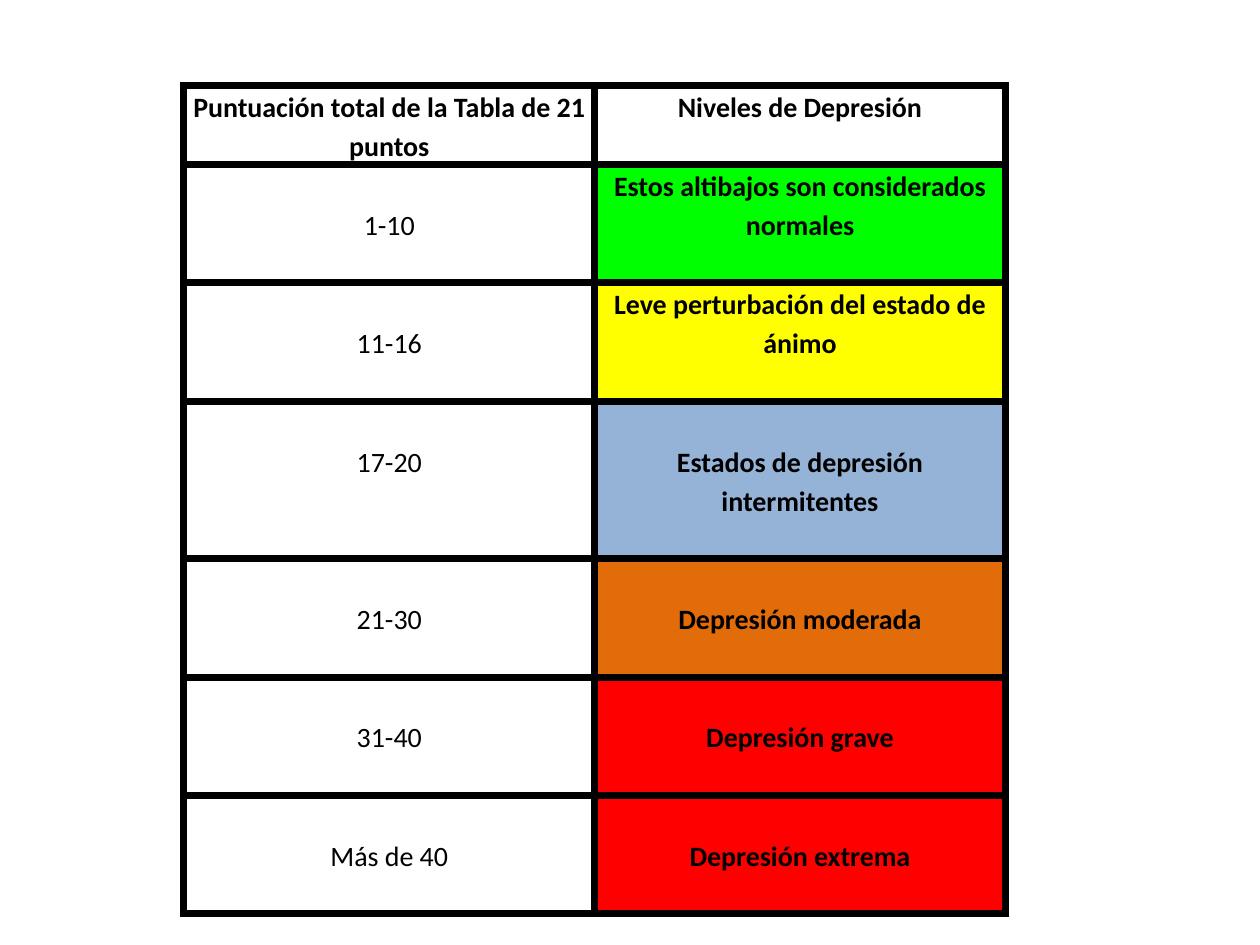
from dataclasses import dataclass

from lxml import etree
from pptx import Presentation
from pptx.dml.color import RGBColor
from pptx.enum.text import MSO_ANCHOR, PP_ALIGN
from pptx.oxml.ns import qn
from pptx.util import Inches, Pt

CENTER = PP_ALIGN.CENTER
TOP = MSO_ANCHOR.TOP


@dataclass(frozen=True)
class Theme:
    font: str = "Calibri"
    size: float = 16
    line_spacing: float = 1.15
    border_width: float = 4.5
    black: str = "000000"
    green: str = "00FF00"
    yellow: str = "FFFF00"
    blue: str = "95B3D7"
    orange: str = "E36C0A"
    red: str = "FF0000"


THEME = Theme()
LINE_HEIGHT = 0.31
HEADERS = ("Puntuación total de la Tabla de 21 puntos", "Niveles de Depresión")
LEVELS = (
    ("1-10", "Estos altibajos son considerados normales", THEME.green, 0, 0.94),
    ("11-16", "Leve perturbación del estado de ánimo", THEME.yellow, 0, 0.94),
    ("17-20", "Estados de depresión intermitentes", THEME.blue, LINE_HEIGHT, 1.25),
    ("21-30", "Depresión moderada", THEME.orange, LINE_HEIGHT, 0.94),
    ("31-40", "Depresión grave", THEME.red, LINE_HEIGHT, 0.94),
    ("Más de 40", "Depresión extrema", THEME.red, LINE_HEIGHT, 0.94),
)


def set_attributes(target, values):
    for name, value in values.items():
        setattr(target, name, value)


def add_borders(cell):
    properties = cell._tc.get_or_add_tcPr()
    for index, side in enumerate(("a:lnL", "a:lnR", "a:lnT", "a:lnB")):
        line = etree.Element(qn(side), w=str(Pt(THEME.border_width)))
        fill = etree.SubElement(line, qn("a:solidFill"))
        etree.SubElement(fill, qn("a:srgbClr"), val=THEME.black)
        properties.insert(index, line)


def fill_cell(cell, text, bold, color=None, top=0):
    set_attributes(cell, {
        "margin_left": Inches(0.07),
        "margin_right": Inches(0.07),
        "margin_top": Inches(top),
        "margin_bottom": 0,
        "vertical_anchor": TOP,
    })
    if color:
        cell.fill.solid()
        cell.fill.fore_color.rgb = RGBColor.from_string(color)
    else:
        cell.fill.background()
    add_borders(cell)
    paragraph = cell.text_frame.paragraphs[0]
    set_attributes(paragraph, {
        "alignment": CENTER,
        "line_spacing": THEME.line_spacing,
    })
    run = paragraph.add_run()
    run.text = text
    set_attributes(run.font, {
        "name": THEME.font,
        "size": Pt(THEME.size),
        "bold": bold,
    })
    run.font.color.rgb = RGBColor.from_string(THEME.black)


def add_levels_table(slide):
    heights = [0.62] + [level[-1] for level in LEVELS]
    table = slide.shapes.add_table(
        len(heights), len(HEADERS),
        Inches(1.46), Inches(0.68), Inches(6.52), Inches(sum(heights)),
    ).table
    set_attributes(table, {"first_row": False, "horz_banding": False})
    for row, height in zip(table.rows, heights):
        row.height = Inches(height)
    for column, header in enumerate(HEADERS):
        fill_cell(table.cell(0, column), header, True)
    for row, (score, level, color, top, _) in enumerate(LEVELS, 1):
        fill_cell(table.cell(row, 0), score, False, top=LINE_HEIGHT)
        fill_cell(table.cell(row, 1), level, True, color, top)


def main():
    presentation = Presentation()
    set_attributes(presentation, {
        "slide_width": Inches(10),
        "slide_height": Inches(7.5),
    })
    slide = presentation.slides.add_slide(presentation.slide_layouts[6])
    add_levels_table(slide)
    presentation.save("out.pptx")


if __name__ == "__main__":
    main()
